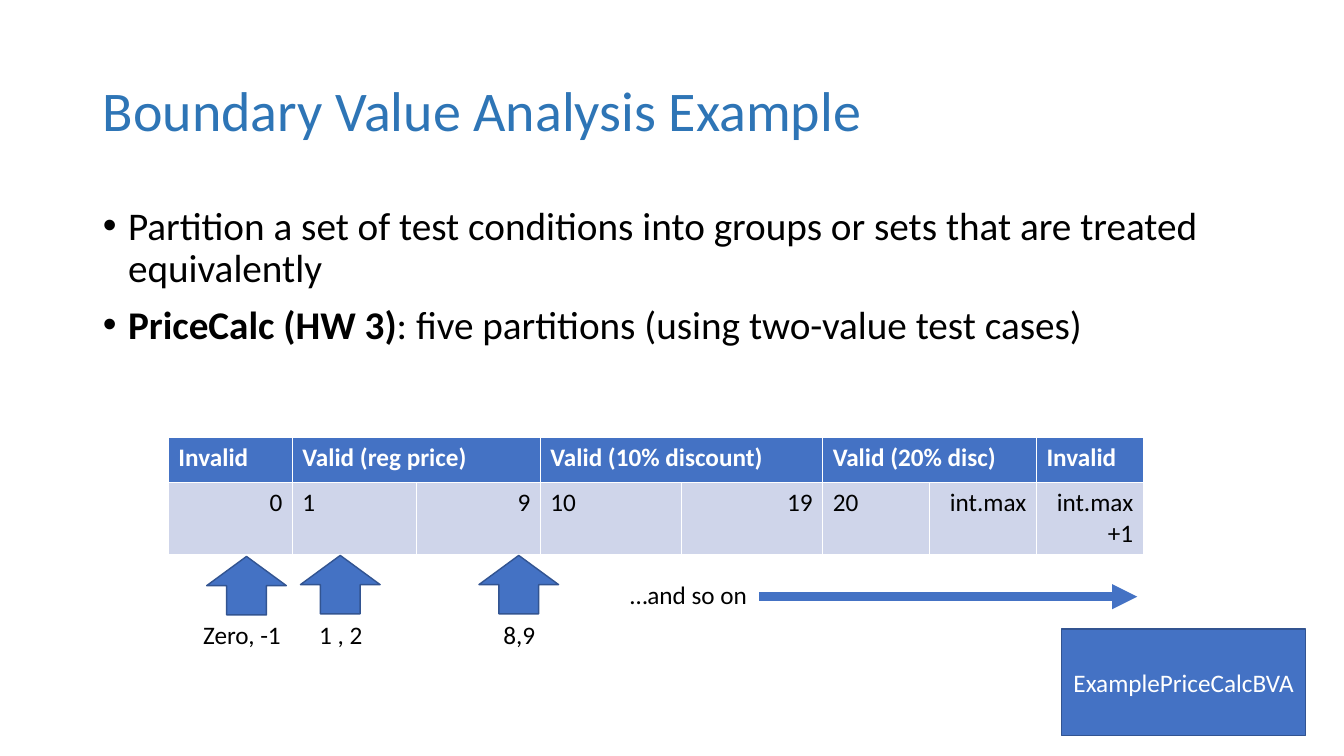
"""Builds the boundary value analysis slide with its partition table."""
from lxml import etree
from pptx import Presentation
from pptx.dml.color import RGBColor
from pptx.enum import shapes, text
from pptx.oxml import ns
from pptx.util import Inches, Pt

TITLE_BLUE = RGBColor(0x2E, 0x75, 0xB6)
BLUE = RGBColor(0x44, 0x72, 0xC4)
OUTLINE = RGBColor(0x32, 0x54, 0x91)
PALE_BLUE = RGBColor(0xCF, 0xD5, 0xEA)
WHITE = RGBColor(0xFF, 0xFF, 0xFF)
BLACK = RGBColor(0, 0, 0)
LEFT, CENTER, RIGHT = text.PP_ALIGN.LEFT, text.PP_ALIGN.CENTER, text.PP_ALIGN.RIGHT


def style_text(para, size, color, align=LEFT, bold=False):
    para.alignment = align
    para.font.name = "Calibri"
    para.font.size = Pt(size)
    para.font.color.rgb = color
    para.font.bold = bold


def add_block(kind, left, top, width, height):
    block = slide.shapes.add_shape(kind, Inches(left), Inches(top), Inches(width), Inches(height))
    block.shadow.inherit = False
    block.fill.solid()
    block.fill.fore_color.rgb = BLUE
    block.line.color.rgb = OUTLINE
    block.line.width = Pt(1)
    return block


deck = Presentation()
deck.slide_width, deck.slide_height = Inches(13.33), Inches(7.5)
slide = deck.slides.add_slide(deck.slide_layouts[1])

title, body = slide.placeholders
for holder, top, height in ((title, 0.4, 1.45), (body, 2, 4.76)):
    holder.left, holder.top = Inches(0.92), Inches(top)
    holder.width, holder.height = Inches(11.5), Inches(height)
title.text_frame.text = "Boundary Value Analysis Example"
title.text_frame.vertical_anchor = text.MSO_ANCHOR.MIDDLE
title.text_frame.paragraphs[0].line_spacing = 0.9
style_text(title.text_frame.paragraphs[0], 40, TITLE_BLUE)

body.text_frame.text = (
    "Partition a set of test conditions into groups or sets that are treated equivalently\n"
)
lead = body.text_frame.paragraphs[1].add_run()
lead.text = "PriceCalc (HW 3)"
lead.font.bold = True
body.text_frame.paragraphs[1].add_run().text = ": five partitions (using two-value test cases)"
for para in body.text_frame.paragraphs:
    style_text(para, 28, BLACK)
    para.line_spacing = 0.9
    para.space_before = Pt(10)
    properties = para._p.get_or_add_pPr()
    properties.set("marL", str(Inches(0.25)))
    properties.set("indent", str(Inches(-0.25)))

widths = [1.23, 1.23, 1.23, 1.4, 1.4, 1.06, 1.06, 1.06]
headers = ["Invalid", "Valid (reg price)", "", "Valid (10% discount)", "",
           "Valid (20% disc)", "", "Invalid"]
bounds = ["0", "1", "9", "10", "19", "20", "int.max", "int.max+1"]
partitions = slide.shapes.add_table(
    2, len(widths), Inches(1.67), Inches(4.34), Inches(sum(widths)), Inches(1.15)).table
partitions.rows[0].height, partitions.rows[1].height = Inches(0.45), Inches(0.7)
for column, width in enumerate(widths):
    partitions.columns[column].width = Inches(width)
    bound_align = LEFT if column in (1, 3, 5) else RIGHT
    for row, label, fill, color, align in (
            (0, headers[column], BLUE, WHITE, LEFT),
            (1, bounds[column], PALE_BLUE, BLACK, bound_align)):
        cell = partitions.cell(row, column)
        cell.text = label
        cell.fill.solid()
        cell.fill.fore_color.rgb = fill
        style_text(cell.text_frame.paragraphs[0], 18, color, align, row == 0)
for column in (1, 3, 5):
    partitions.cell(0, column).merge(partitions.cell(0, column + 1))

for left, top in ((2.05, 5.52), (2.98, 5.51), (4.75, 5.51)):
    add_block(shapes.MSO_SHAPE.UP_ARROW, left, top, 0.79, 0.58)

for label, left, top, width, align in (
        ("Zero, -1", 1.91, 6.09, 0.98, CENTER),
        ("1 , 2", 3.06, 6.09, 0.64, CENTER),
        ("8,9", 4.89, 6.09, 0.52, CENTER),
        ("…and so on", 6.15, 5.7, 1.38, LEFT)):
    box = slide.shapes.add_textbox(Inches(left), Inches(top), Inches(width), Inches(0.4))
    box.text_frame.word_wrap = False
    box.text_frame.auto_size = text.MSO_AUTO_SIZE.SHAPE_TO_FIT_TEXT
    box.text_frame.text = label
    style_text(box.text_frame.paragraphs[0], 18, BLACK, align)

arrow = slide.shapes.add_connector(
    shapes.MSO_CONNECTOR.STRAIGHT, Inches(7.53), Inches(5.92), Inches(11.28), Inches(5.92))
arrow.line.color.rgb = BLUE
arrow.line.width = Pt(6)
etree.SubElement(arrow.line._get_or_add_ln(), ns.qn("a:tailEnd"), type="triangle")
etree.SubElement(arrow._element.spPr, ns.qn("a:effectLst"))

example = add_block(shapes.MSO_SHAPE.RECTANGLE, 10.53, 6.24, 2.42, 1.06)
example.text_frame.text = "ExamplePriceCalcBVA"
example.text_frame.vertical_anchor = text.MSO_ANCHOR.MIDDLE
style_text(example.text_frame.paragraphs[0], 18, WHITE, CENTER)

deck.save("out.pptx")
